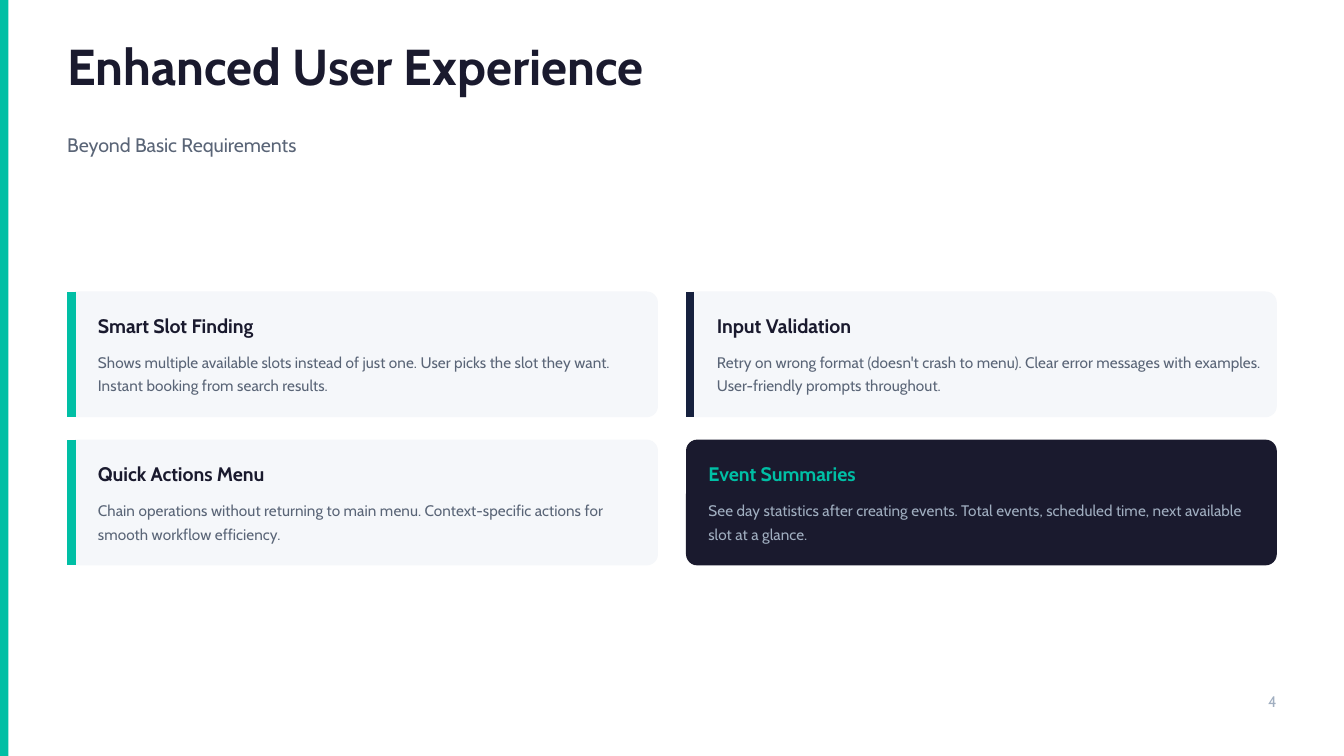
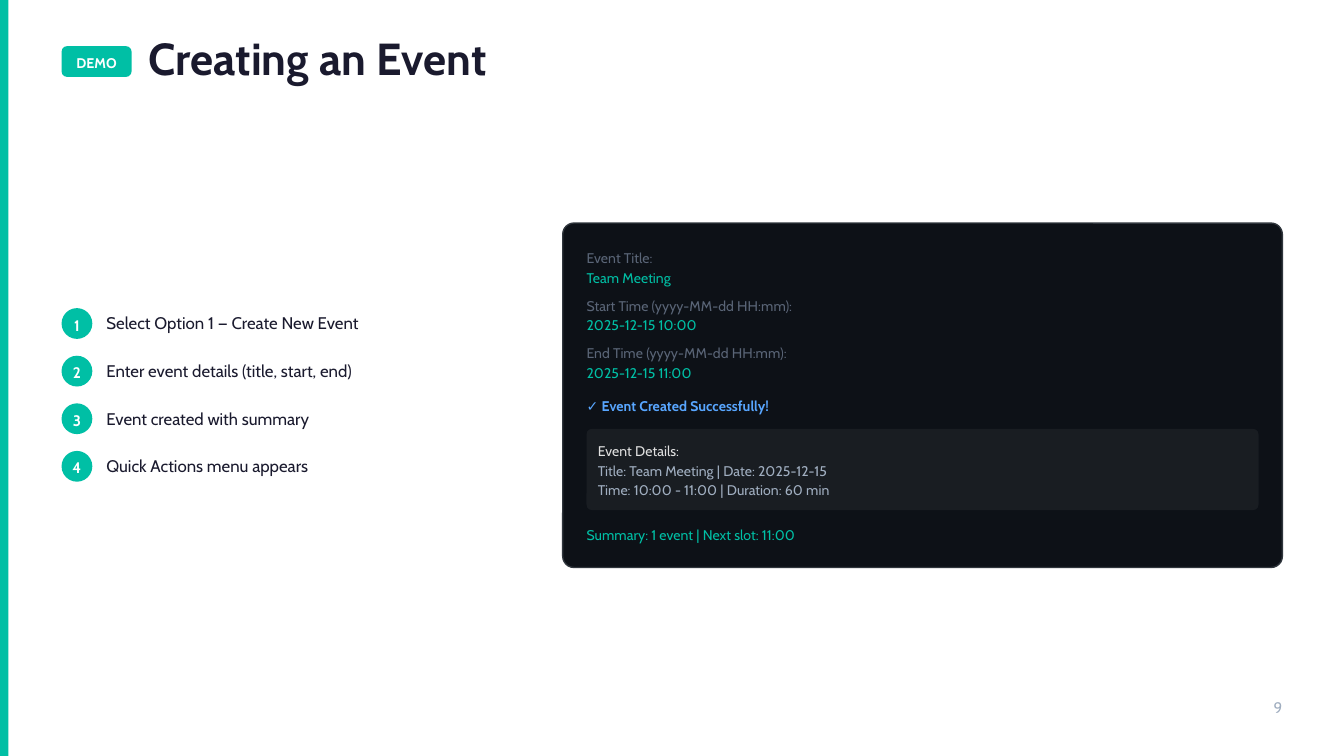
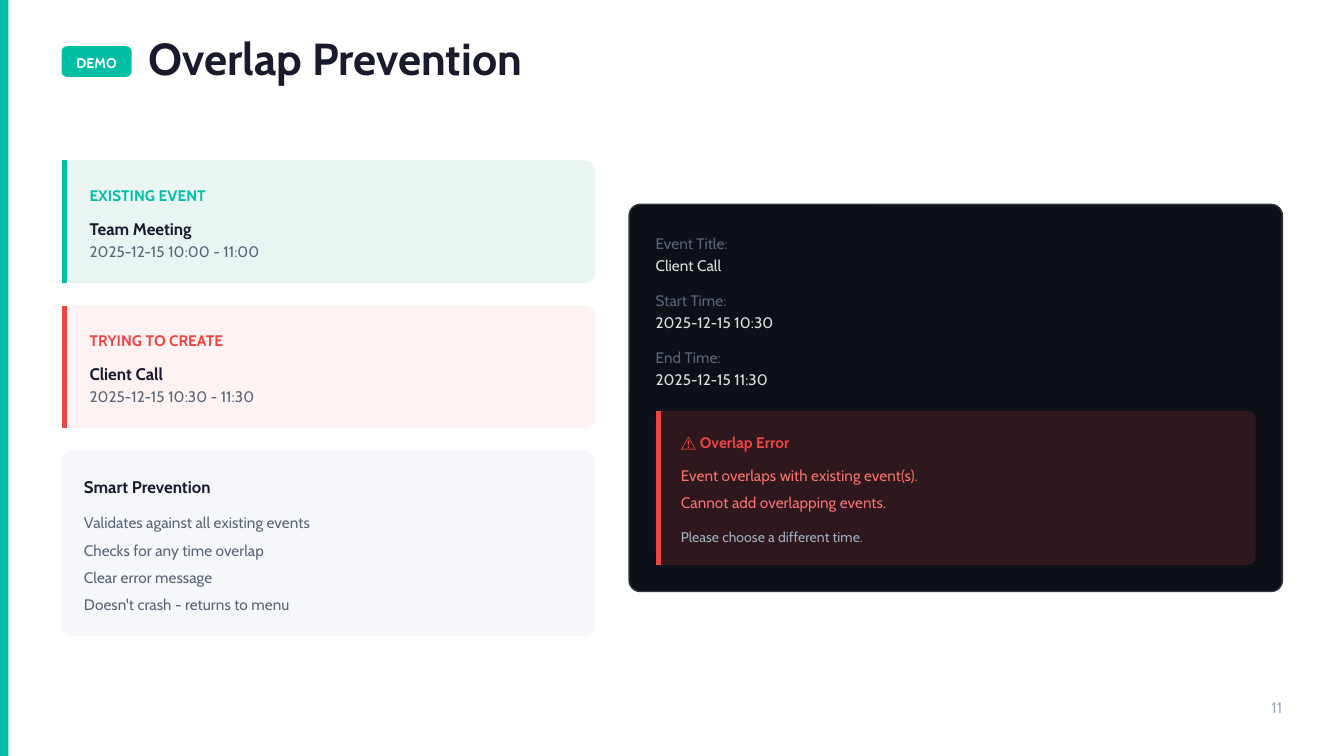
from pptx import Presentation
from pptx.dml.color import RGBColor
from pptx.enum.shapes import MSO_CONNECTOR as Connector, MSO_SHAPE as Shape
from pptx.enum.text import MSO_ANCHOR as Anchor, MSO_AUTO_SIZE as AutoSize, PP_ALIGN as Align
from pptx.oxml.ns import qn
from pptx.util import Pt
from lxml.etree import SubElement

FONT = "Cabin"
WIDTH, HEIGHT = 720, 405
TEXT_SLACK = 1.02
TITLE_ONLY = 5

COLORS = {
    "ink": "1A1A2E", "navy": "16213E", "teal": "00BFA5", "slate": "5A6577",
    "mist": "A0AEC0", "pale": "F5F7FA", "mint": "E8F5F3", "blush": "FEF2F2",
    "red": "EF4444", "coral": "F87171", "blue": "58A6FF", "light": "E0E0E0",
    "terminal": "0D1117", "border": "30363D", "white": "FFFFFF",
}

STYLES = {
    "title": (27, 27, True),
    "demo title": (24, 24, True),
    "subtitle": (10.5, 14.7, False),
    "heading": (10.5, 12.6, True),
    "name": (9, 12.6, True),
    "step": (9, 13.5, False),
    "label": (8.25, 11.55, True),
    "body": (8.25, 11.55, False),
    "wrapped": (8.25, 12.38, False),
    "small": (7.5, 10.5, False),
    "small bold": (7.5, 10.5, True),
}


def line(text, style, color, gap=0, rows=1):
    return {"text": text, "style": style, "color": color, "gap": gap, "rows": rows}


def card(fill, lines, bar=None, bar_width=3.0, pad=12, radius=6, alpha=None, border=None, gap=0):
    return {"fill": fill, "lines": lines, "bar": bar, "bar_width": bar_width if bar else 0,
            "pad": pad, "radius": radius, "alpha": alpha, "border": border, "gap": gap}


def feature(heading, body, fill="pale", bar=None, heading_color="ink", body_color="slate"):
    return card(fill, [line(heading, "heading", heading_color, 6),
                       line(body, "wrapped", body_color, rows=2)], bar, 4.5)


def booking(label, name, time, fill, accent):
    return card(fill, [line(label, "label", accent, 6), line(name, "name", "ink"),
                       line(time, "body", "slate")], accent)


def prompts(style, color, entries):
    return [item for question, answer, gap in entries
            for item in (line(question, style, "slate"), line(answer, style, color, gap))]


FEATURES = [
    [feature("Smart Slot Finding",
             "Shows multiple available slots instead of just one. User picks the slot they want. "
             "Instant booking from search results.", bar="teal"),
     feature("Quick Actions Menu",
             "Chain operations without returning to main menu. Context-specific actions for "
             "smooth workflow efficiency.", bar="teal")],
    [feature("Input Validation",
             "Retry on wrong format (doesn't crash to menu). Clear error messages with examples. "
             "User-friendly prompts throughout.", bar="navy"),
     feature("Event Summaries",
             "See day statistics after creating events. Total events, scheduled time, next "
             "available slot at a glance.", "ink", None, "teal", "mist")],
]

STEPS = [
    ("Select Option 1 — Create New Event", 151.5),
    ("Enter event details (title, start, end)", 142.5),
    ("Event created with summary", 116),
    ("Quick Actions menu appears", 116.5),
]

CREATE_TERMINAL = card("terminal", prompts("small", "teal", [
    ("Event Title:", "Team Meeting", 4.5),
    ("Start Time (yyyy-MM-dd HH:mm):", "2025-12-15 10:00", 4.5),
    ("End Time (yyyy-MM-dd HH:mm):", "2025-12-15 11:00", 7.5),
]) + [
    line("✓ Event Created Successfully!", "small bold", "blue", 7.5),
    card("white", [
        line("Event Details:", "small", "light"),
        line("Title: Team Meeting | Date: 2025-12-15", "small", "mist"),
        line("Time: 10:00 - 11:00 | Duration: 60 min", "small", "mist"),
    ], pad=6, radius=3, alpha=5, gap=7.5),
    line("Summary: 1 event | Next slot: 11:00", "small", "teal"),
], pad=12.75, border="border")

OVERLAP_CARDS = [
    booking("EXISTING EVENT", "Team Meeting", "2025-12-15 10:00 - 11:00", "mint", "teal"),
    booking("TRYING TO CREATE", "Client Call", "2025-12-15 10:30 - 11:30", "blush", "red"),
    card("pale", [
        line("Smart Prevention", "name", "ink", 7.5),
        line("Validates against all existing events", "body", "slate", 3),
        line("Checks for any time overlap", "body", "slate", 3),
        line("Clear error message", "body", "slate", 3),
        line("Doesn't crash - returns to menu", "body", "slate"),
    ]),
]

OVERLAP_TERMINAL = card("terminal", prompts("body", "light", [
    ("Event Title:", "Client Call", 7.5),
    ("Start Time:", "2025-12-15 10:30", 7.5),
    ("End Time:", "2025-12-15 11:30", 12),
]) + [
    card("red", [
        line("⚠ Overlap Error", "label", "red", 6),
        line("Event overlaps with existing event(s).", "body", "coral", 3),
        line("Cannot add overlapping events.", "body", "coral", 7.5),
        line("Please choose a different time.", "small", "mist"),
    ], "red", pad=10.5, radius=4.5, alpha=15),
], pad=14.25, border="border")


def apply(target, values):
    for name, value in values.items():
        setattr(target, name, value)


def rgb(name):
    return RGBColor.from_string(COLORS[name])


def place(left, top, width, height):
    return [Pt(value) for value in (left, top, width, height)]


def write(box, text, style, color, align=Align.LEFT, anchor=Anchor.TOP):
    size, spacing, bold = STYLES[style]
    frame = box.text_frame
    apply(frame, {"auto_size": AutoSize.NONE, "word_wrap": True, "vertical_anchor": anchor,
                  "margin_left": 0, "margin_right": 0, "margin_top": 0, "margin_bottom": 0})
    para = frame.paragraphs[0]
    apply(para, {"alignment": align, "line_spacing": Pt(spacing), "space_before": Pt(0)})
    span = para.add_run()
    span.text = text
    apply(span.font, {"name": FONT, "size": Pt(size), "bold": bold})
    span.font.color.rgb = rgb(color)


def add_text(page, left, top, width, height, *content, **options):
    write(page.shapes.add_textbox(*place(left, top, width, height)), *content, **options)


def add_block(page, kind, left, top, width, height, fill, radius=0, alpha=None, border=None):
    block = page.shapes.add_shape(kind, *place(left, top, width, height))
    block.shadow.inherit = False
    block.fill.solid()
    block.fill.fore_color.rgb = rgb(fill)
    if radius:
        block.adjustments[0] = radius / min(width, height)
    if alpha:
        color = block.fill._xPr.find(qn("a:solidFill"))[0]
        SubElement(color, qn("a:alpha"), val=str(alpha * 1000))
    if border:
        block.line.color.rgb = rgb(border)
        block.line.width = Pt(0.75)
    else:
        block.line.fill.background()
    return block


def add_bar(page, x, top, bottom, color, width):
    bar = page.shapes.add_connector(Connector.STRAIGHT, Pt(x), Pt(top), Pt(x), Pt(bottom))
    bar.line.color.rgb = rgb(color)
    bar.line.width = Pt(width)
    SubElement(bar._element.spPr, qn("a:effectLst"))


def item_height(item):
    if "text" in item:
        return STYLES[item["style"]][1] * item["rows"]
    inner = sum(item_height(entry) + entry["gap"] for entry in item["lines"])
    return inner + 2 * item["pad"]


def add_card(page, item, left, top, width):
    height = item_height(item)
    pad, bar_width = item["pad"], item["bar_width"]
    add_block(page, Shape.ROUNDED_RECTANGLE, left, top, width, height, item["fill"],
              item["radius"], item["alpha"], item["border"])
    if item["bar"]:
        add_bar(page, left + bar_width / 2, top, top + height, item["bar"], bar_width)
    x, y = left + bar_width + pad, top + pad
    inner_width = width - bar_width - 2 * pad
    for entry in item["lines"]:
        if "text" in entry:
            add_text(page, x, y, inner_width * TEXT_SLACK, item_height(entry),
                     entry["text"], entry["style"], entry["color"])
        else:
            add_card(page, entry, x, y, inner_width)
        y += item_height(entry) + entry["gap"]


def add_column(page, cards, left, top, width, gap=12):
    for item in cards:
        add_card(page, item, left, top, width)
        top += item_height(item) + gap


def add_page(deck, title, number, style, left, top, width, margin):
    page = deck.slides.add_slide(deck.slide_layouts[TITLE_ONLY])
    add_block(page, Shape.RECTANGLE, 0, 0, 4.5, HEIGHT, "teal")
    heading = page.shapes.title
    apply(heading, dict(zip(("left", "top", "width", "height"),
                            place(left, top, width, STYLES[style][1]))))
    write(heading, title, style, "ink")
    footer_width = (WIDTH - 2 * margin) * TEXT_SLACK
    add_text(page, WIDTH - margin - footer_width, HEIGHT - margin + 0.3, footer_width, 11.55,
             number, "body", "mist", align=Align.RIGHT)
    return page


def add_demo_page(deck, title, number, width):
    page = add_page(deck, title, number, "demo title", 79.5, 21, width, 33)
    badge = add_block(page, Shape.ROUNDED_RECTANGLE, 33, 24.75, 37.5, 16.5, "teal", 3)
    write(badge, "DEMO", "small bold", "white", Align.CENTER, Anchor.MIDDLE)
    return page


def build_features(deck):
    page = add_page(deck, "Enhanced User Experience", "4", "title", 36, 24, 331, 36)
    add_text(page, 36, 69, 661, 14.7, "Beyond Basic Requirements", "subtitle", "slate")
    for index, column in enumerate(FEATURES):
        add_column(page, column, 36 + index * 331.5, 156.2, 316.5)


def build_creating(deck):
    page = add_demo_page(deck, "Creating an Event", "9", 208)
    for index, (text, width) in enumerate(STEPS):
        top = 165.1 + index * 25.5
        circle = add_block(page, Shape.OVAL, 33, top, 16.5, 16.5, "teal")
        write(circle, str(index + 1), "label", "white", Align.CENTER, Anchor.MIDDLE)
        add_text(page, 57, top, width, 13.5, text, "step", "ink")
    add_card(page, CREATE_TERMINAL, 301.5, 119.5, 385.5)


def build_overlap(deck):
    page = add_demo_page(deck, "Overlap Prevention", "11", 225)
    add_column(page, OVERLAP_CARDS, 33, 86, 286)
    add_card(page, OVERLAP_TERMINAL, 337, 109.5, 350)


def main():
    deck = Presentation()
    apply(deck, {"slide_width": Pt(WIDTH), "slide_height": Pt(HEIGHT)})
    for build in (build_features, build_creating, build_overlap):
        build(deck)
    deck.save("out.pptx")


if __name__ == "__main__":
    main()
